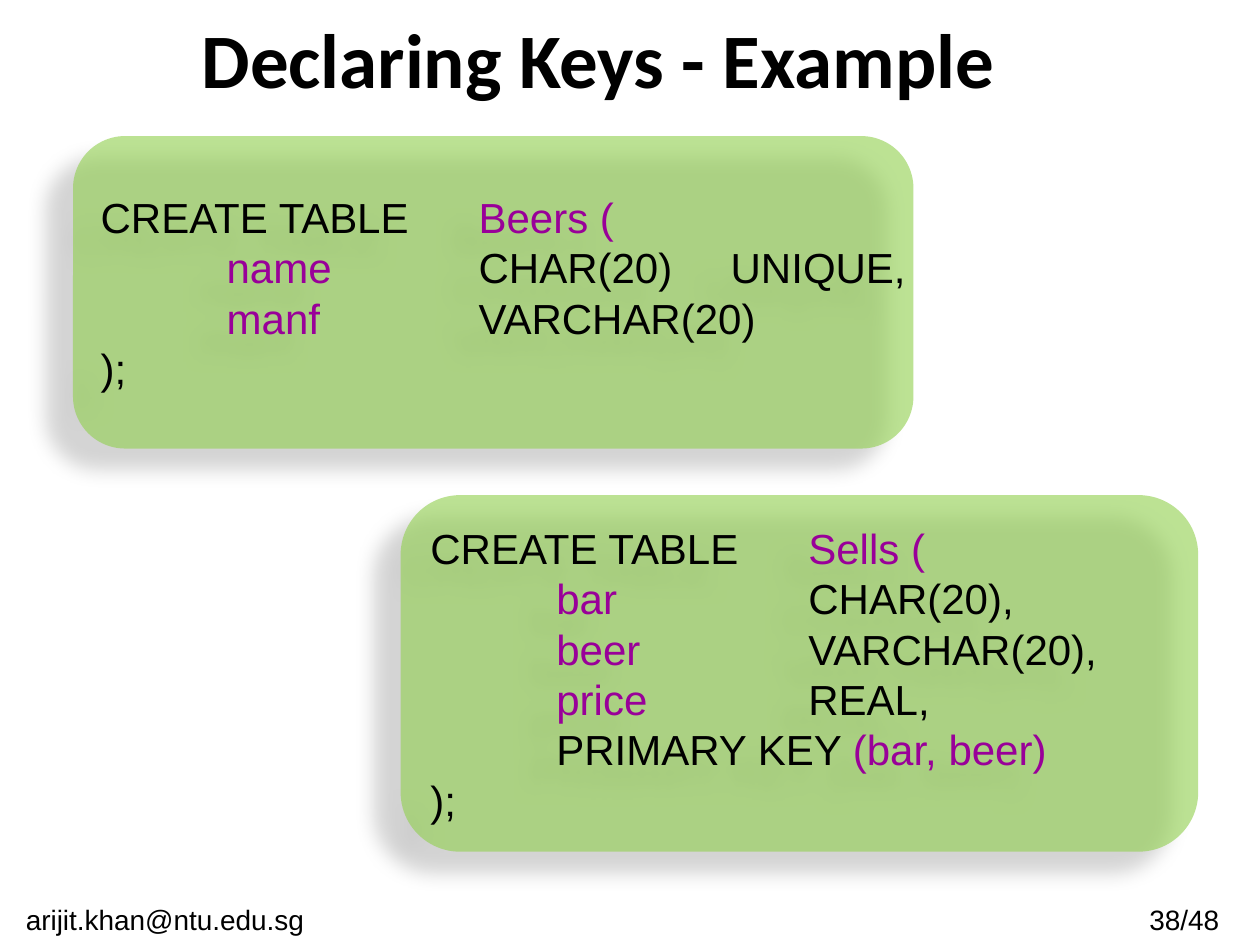
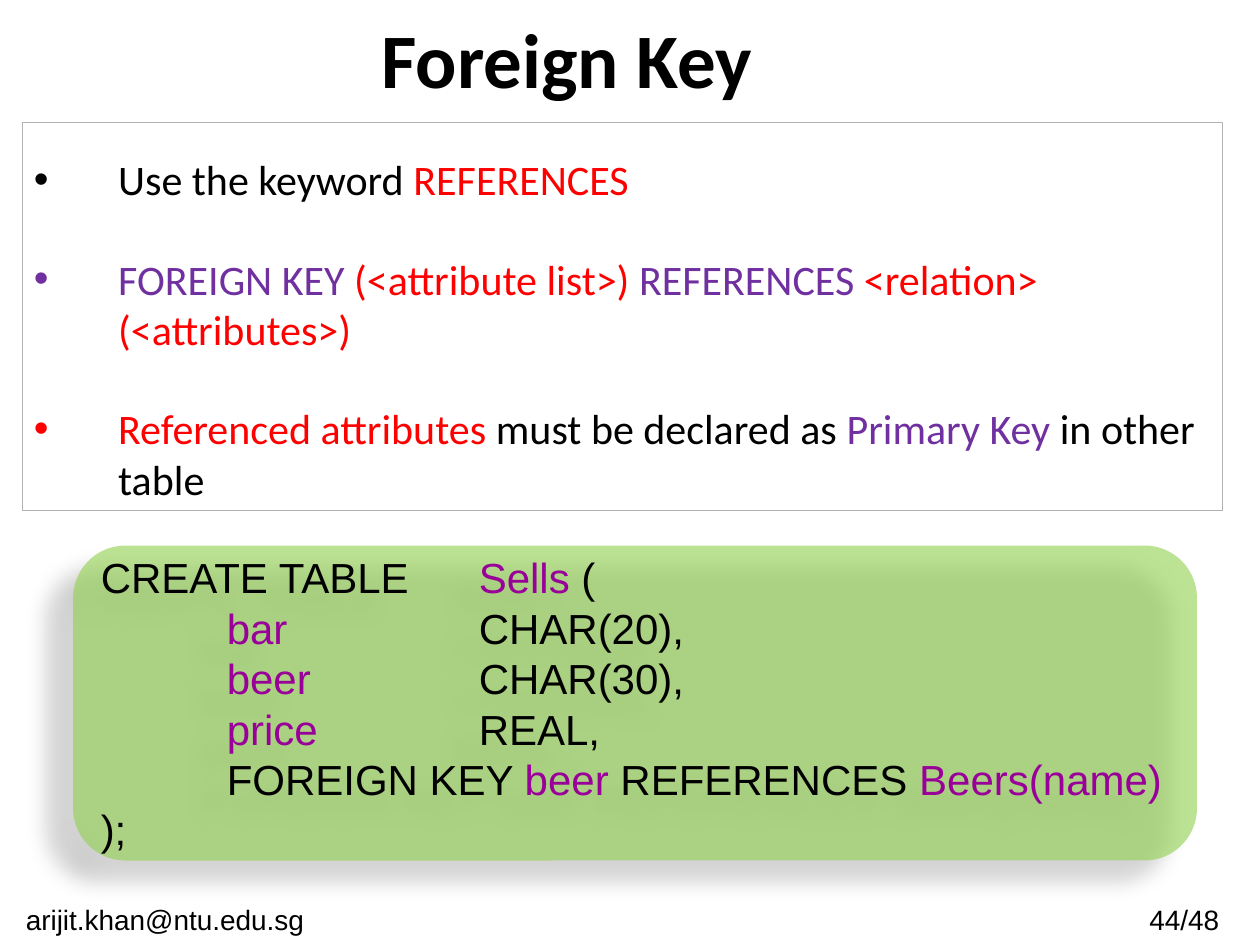
from lxml import etree
from pptx import Presentation
from pptx.dml.color import RGBColor
from pptx.enum.shapes import MSO_SHAPE
from pptx.enum.text import MSO_ANCHOR, PP_ALIGN
from pptx.oxml.ns import qn
from pptx.util import Inches, Pt

ROUNDED, RECTANGLE = MSO_SHAPE.ROUNDED_RECTANGLE, MSO_SHAPE.RECTANGLE
TOP, MIDDLE = MSO_ANCHOR.TOP, MSO_ANCHOR.MIDDLE
LEFT, CENTER = PP_ALIGN.LEFT, PP_ALIGN.CENTER

BLACK, RED, VIOLET, MAGENTA = "000000", "FF0000", "7030A0", "990099"
GREEN, GRAY = "92D050", "B2B2B2"
TITLE = {"name": "Calibri", "size": Pt(44), "bold": True}
BODY = {"name": "Calibri", "size": Pt(24)}
CODE = {"name": "Arial", "size": Pt(24)}
FOOTER = {"name": "Arial", "size": Pt(16)}
CODE_TABS = (1, 3, 5)
BULLET_INDENT = 0.67


def rgb(value):
    """Turn a hex string into a colour."""
    return RGBColor.from_string(value)


def add_element(parent, tag, **attributes):
    """Append a drawing element with the given attributes."""
    values = {key: str(value) for key, value in attributes.items()}
    return etree.SubElement(parent, qn(tag), values)


class SlideBuilder:
    """Hold the deck style and draw on the current slide."""

    def __init__(self, deck):
        """Keep the deck to which slides are added."""
        self.deck = deck
        self.page = None

    def start(self, title, title_left, number):
        """Add a slide with its title and footers."""
        self.page = self.deck.slides.add_slide(self.deck.slide_layouts[6])
        self.label((title_left, 0.08, 9, 0.75), title, TITLE, MIDDLE)
        for left, width, words in ((0, 2.68, "arijit.khan@ntu.edu.sg "),
                                   (8.85, 1.16, f"{number}/48 ")):
            self.label((left, 7.11, width, 0.39), words, FOOTER, wrap=False)

    def label(self, place, words, style, anchor=TOP, wrap=True):
        """Add one centred line of text."""
        box = self.page.shapes.add_textbox(*map(Inches, place))
        self.fill_text(box, [[(words, BLACK)]], style, anchor, wrap, CENTER)

    def fill_text(self, box, lines, style, anchor=TOP, wrap=True, align=LEFT):
        """Fill a box with lines of coloured spans and return its paragraphs."""
        frame = box.text_frame
        frame.word_wrap, frame.vertical_anchor = wrap, anchor
        for index, line in enumerate(lines):
            para = frame.add_paragraph() if index else frame.paragraphs[0]
            para.alignment = align
            for words, color in line:
                span = para.add_run()
                span.text = words
                span.font.color.rgb = rgb(color)
                for name, value in style.items():
                    setattr(span.font, name, value)
        return frame.paragraphs

    def code(self, place, lines):
        """Add a translucent green card with tabbed code."""
        card = self.page.shapes.add_shape(ROUNDED, *map(Inches, place))
        card.fill.solid()
        card.fill.fore_color.rgb = rgb(GREEN)
        card.line.fill.background()
        card.shadow.inherit = False
        properties = card.element.spPr
        fill_color = properties.find(qn("a:solidFill")).find(qn("a:srgbClr"))
        add_element(fill_color, "a:alpha", val=61000)
        shadow = add_element(properties.find(qn("a:effectLst")), "a:outerShdw",
                             blurRad=Pt(11.8), dist=Pt(19.7),
                             dir=141 * 60000, rotWithShape=0)
        shadow_color = add_element(shadow, "a:srgbClr", val=BLACK)
        add_element(shadow_color, "a:alpha", val=28000)
        for para in self.fill_text(card, lines, CODE, MIDDLE, wrap=False):
            tabs = add_element(para._p.get_or_add_pPr(), "a:tabLst")
            for stop in CODE_TABS:
                add_element(tabs, "a:tab", pos=Inches(stop), algn="l")

    def frame(self, place):
        """Add an unfilled rectangle with a thin gray outline."""
        outline = self.page.shapes.add_shape(RECTANGLE, *map(Inches, place))
        outline.shadow.inherit = False
        outline.fill.background()
        outline.line.color.rgb = rgb(GRAY)
        outline.line.width = Pt(0.75)

    def bullets(self, place, lines):
        """Add a spaced bullet list."""
        box = self.page.shapes.add_textbox(*map(Inches, place))
        for index, para in enumerate(self.fill_text(box, lines, BODY)):
            properties = para._p.get_or_add_pPr()
            properties.set("marL", str(Inches(BULLET_INDENT)))
            properties.set("indent", str(-Inches(BULLET_INDENT)))
            add_element(properties, "a:buFont", typeface="Arial")
            add_element(properties, "a:buChar", char="•")
            if index:
                para.space_before = Pt(28)


def column(name, kind):
    """Return the spans of one column declaration."""
    return [(f"\t{name}", MAGENTA), (f"\t{kind}", BLACK)]


def table(name, *body):
    """Return the lines of a table declaration."""
    opening = [("CREATE TABLE\t", BLACK), *name]
    return [opening, *body, [(");", BLACK)]]


def keys_slide(builder):
    """Build the slide on declaring keys."""
    builder.start("Declaring Keys - Example", 0.25, 38)
    builder.code((0.58, 1.08, 6.67, 2.48), table(
        [("Beers (", MAGENTA)],
        column("name", "CHAR(20)\tUNIQUE,"),
        column("manf", "VARCHAR(20)")))
    builder.code((3.18, 3.93, 6.33, 2.83), table(
        [("Sells (", MAGENTA)],
        column("bar", "CHAR(20),"),
        column("beer", "VARCHAR(20),"),
        column("price", "REAL,"),
        [("\tPRIMARY KEY ", BLACK), ("(bar, beer)", MAGENTA)]))


def foreign_key_slide(builder):
    """Build the slide on foreign keys."""
    builder.start("Foreign Key", 0, 44)
    builder.code((0.58, 4.33, 8.92, 2.5), table(
        [("Sells ", MAGENTA), ("(", BLACK)],
        column("bar", "CHAR(20),"),
        column("beer", "CHAR(30),"),
        column("price", "REAL,"),
        [("\tFOREIGN KEY ", BLACK), ("beer", MAGENTA),
         (" REFERENCES ", BLACK), ("Beers(name)", MAGENTA)]))
    builder.frame((0.18, 0.97, 9.52, 3.08))
    builder.bullets((0.17, 1.17, 9.76, 2.93), [
        [("Use the keyword ", BLACK), ("REFERENCES", RED)],
        [("FOREIGN KEY ", VIOLET), ("(<attribute list>) ", RED),
         ("REFERENCES ", VIOLET), ("<relation> (<attributes>)", RED)],
        [("Referenced attributes ", RED), ("must be declared as ", BLACK),
         ("Primary Key ", VIOLET), ("in other table", BLACK)]])


def main():
    """Build and save the deck."""
    deck = Presentation()
    deck.slide_width, deck.slide_height = Inches(10), Inches(7.5)
    builder = SlideBuilder(deck)
    keys_slide(builder)
    foreign_key_slide(builder)
    deck.save("out.pptx")


if __name__ == "__main__":
    main()
